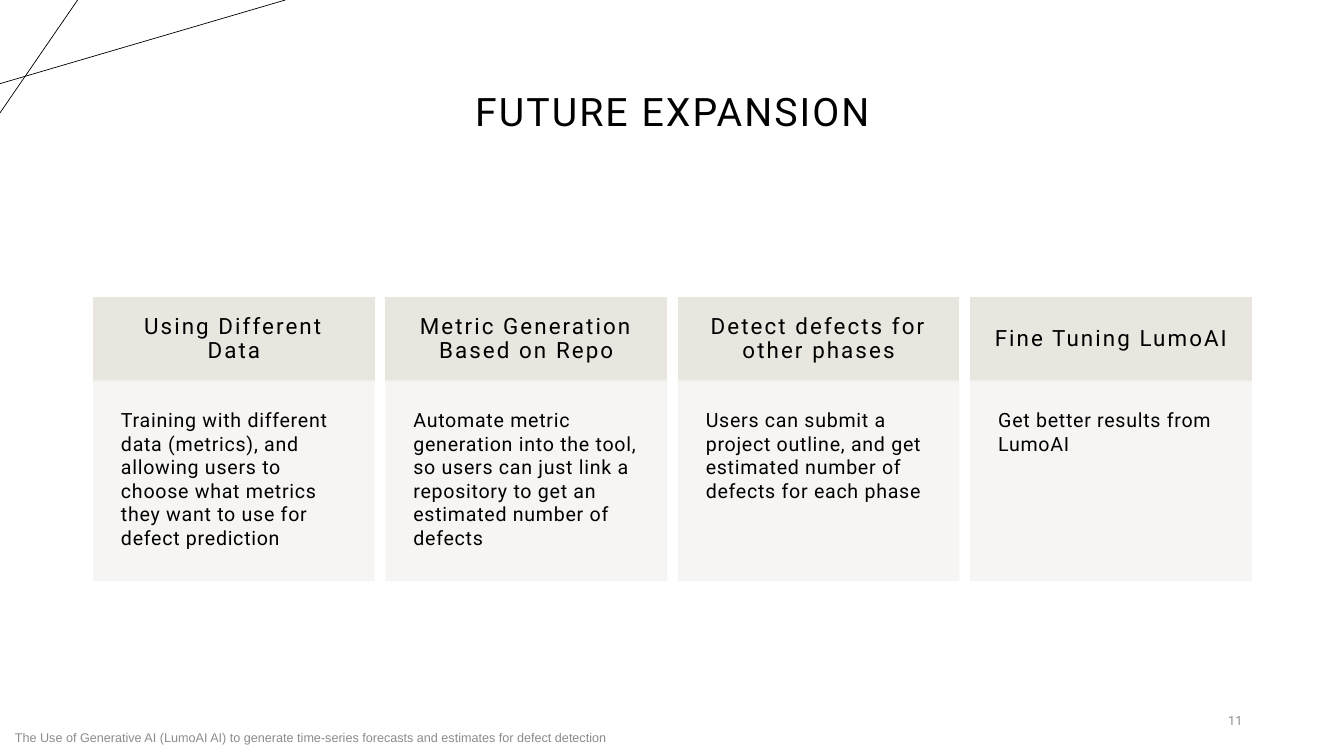
from lxml import etree
from pptx import Presentation
from pptx.dml.color import RGBColor
from pptx.enum.shapes import MSO_CONNECTOR, MSO_SHAPE
from pptx.enum.text import MSO_ANCHOR, PP_ALIGN
from pptx.oxml.ns import qn
from pptx.util import Inches, Pt

LEFT, CENTER, RIGHT = PP_ALIGN.LEFT, PP_ALIGN.CENTER, PP_ALIGN.RIGHT
TOP, MIDDLE = MSO_ANCHOR.TOP, MSO_ANCHOR.MIDDLE
RECTANGLE, STRAIGHT = MSO_SHAPE.RECTANGLE, MSO_CONNECTOR.STRAIGHT

BLACK, GRAY = "000000", "8C8C8C"
HEADING_FILL, BODY_FILL = "E9E6DF", "F7F5F3"


def color(value):
    return RGBColor.from_string(value)


def write(shape, text, size, align=LEFT, anchor=MIDDLE, font="Roboto",
          text_color=BLACK, tracking=0, line_spacing=1.0, inset=None):
    frame = shape.text_frame
    frame.word_wrap = True
    frame.vertical_anchor = anchor
    if inset is not None:
        frame.margin_left = frame.margin_right = Inches(inset)
        frame.margin_top = frame.margin_bottom = Inches(inset)
    paragraph = frame.paragraphs[0]
    paragraph.text = text
    paragraph.alignment = align
    paragraph.line_spacing = line_spacing
    paragraph.font.name = font
    paragraph.font.size = Pt(size)
    paragraph.font.color.rgb = color(text_color)
    # Letter spacing is stored in hundredths of a point
    paragraph._p.pPr.find(qn("a:defRPr")).set("spc", str(round(tracking * 100)))


presentation = Presentation()
presentation.slide_width = Inches(13.33)
presentation.slide_height = Inches(7.5)
slide = presentation.slides.add_slide(presentation.slide_layouts[6])
shapes = slide.shapes

# Crossing lines in the corner
for x1, y1, x2, y2 in [(0, 0.83, 2.83, 0), (0.77, 0, 0, 1.12)]:
    line = shapes.add_connector(STRAIGHT, Inches(x1), Inches(y1), Inches(x2), Inches(y2))
    line.line.color.rgb = color(BLACK)
    line.line.width = Pt(0.5)
    etree.SubElement(line._element.spPr, qn("a:effectLst"))

# Title
title = shapes.add_textbox(Inches(0.92), Inches(0.4), Inches(11.5), Inches(1.45))
write(title, "FUTURE EXPANSION", 28, CENTER, tracking=1.5, line_spacing=0.9)

# Four cards, each a heading above a body
cards = [
    ("Using Different Data",
     "Training with different data (metrics), and allowing users to choose "
     "what metrics they want to use for defect prediction"),
    ("Metric Generation Based on Repo",
     "Automate metric generation into the tool, so users can just link a "
     "repository to get an estimated number of defects"),
    ("Detect defects for other phases",
     "Users can submit a project outline, and get estimated number of "
     "defects for each phase"),
    ("Fine Tuning LumoAI", "Get better results from LumoAI"),
]
card_left, card_width, card_pitch = 0.93, 2.78, 2.9
heading_top, heading_height, body_height = 2.95, 0.83, 1.98
body_top = heading_top + heading_height

for index, (heading_text, body_text) in enumerate(cards):
    left = Inches(card_left + index * card_pitch)
    heading = shapes.add_shape(RECTANGLE, left, Inches(heading_top),
                               Inches(card_width), Inches(heading_height))
    body = shapes.add_shape(RECTANGLE, left, Inches(body_top),
                            Inches(card_width), Inches(body_height))
    for panel, fill in [(heading, HEADING_FILL), (body, BODY_FILL)]:
        panel.shadow.inherit = False
        panel.fill.solid()
        panel.fill.fore_color.rgb = color(fill)
        panel.line.color.rgb = color(fill)
        panel.line.width = Pt(1)
    # Body fill and outline are 90% opaque
    for fill_color in body._element.spPr.iter(qn("a:srgbClr")):
        etree.SubElement(fill_color, qn("a:alpha"), val="90000")
    write(heading, heading_text, 16, CENTER, tracking=1.5, line_spacing=0.9, inset=0.22)
    write(body, body_text, 14, anchor=TOP, tracking=0.5, inset=0.27)

# Slide number and footer
number = shapes.add_textbox(Inches(9.42), Inches(6.95), Inches(3), Inches(0.4))
write(number, "11", 9, RIGHT, text_color=GRAY)
footer = shapes.add_textbox(Inches(0), Inches(7.12), Inches(6.16), Inches(0.4))
write(footer, "The Use of Generative AI (LumoAI AI) to generate time-series forecasts "
      "and estimates for defect detection", 9, CENTER, font="Arial", text_color=GRAY)

presentation.save("out.pptx")
